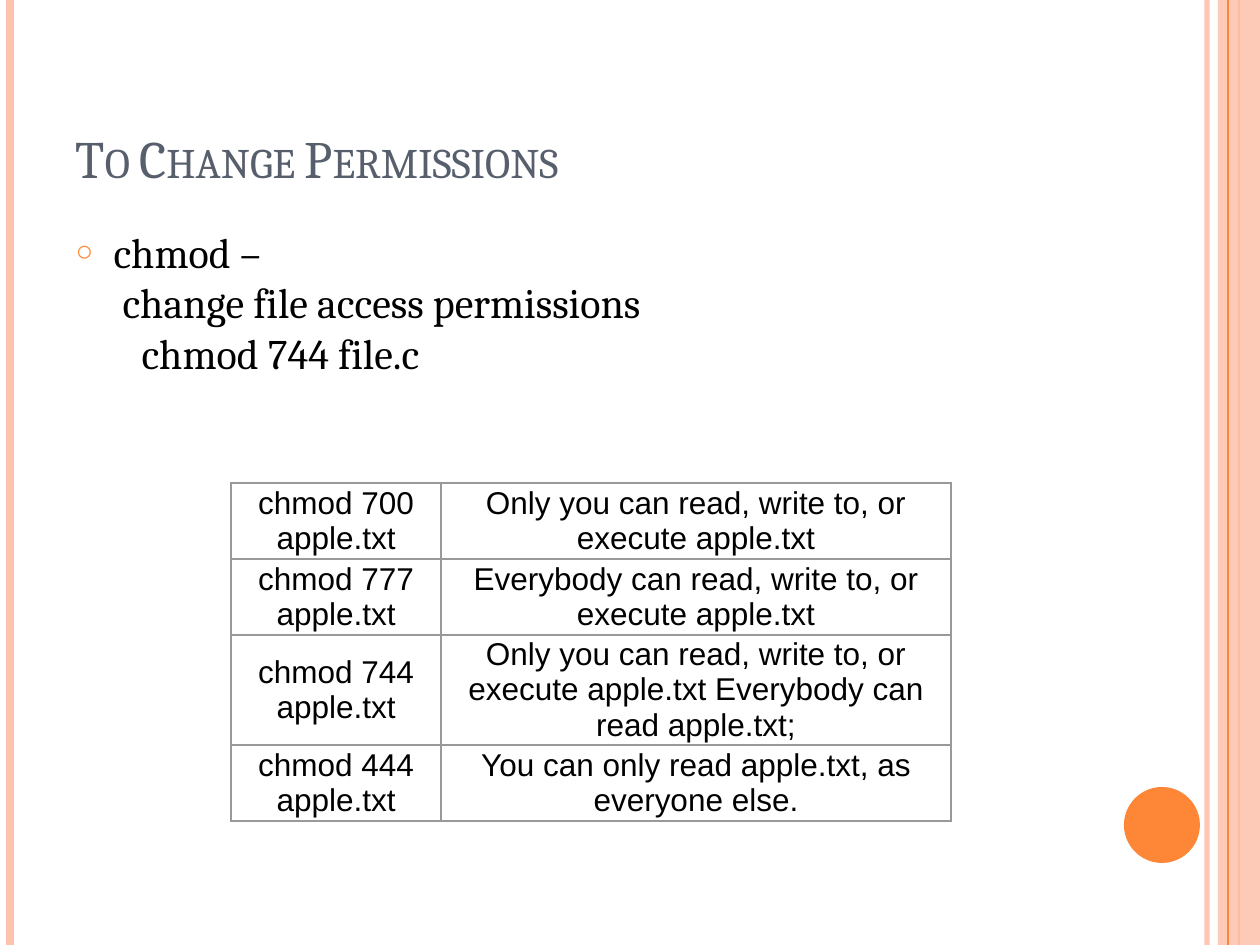
from dataclasses import dataclass

from lxml import etree
from pptx import Presentation
from pptx import util as u
from pptx.dml import color
from pptx.enum import shapes, text
from pptx.oxml import ns

EMU_PER_PIXEL = 914400 / 126
PAGE_WIDTH, PAGE_HEIGHT = 1260, 945


@dataclass(frozen=True)
class Theme:
    """Fonts, type sizes and colours of the slide."""
    heading_font: str = "Cambria"
    table_font: str = "Arial"
    title_size: int = 30
    body_size: int = 24
    table_size: int = 18
    title: str = "575F6D"
    ink: str = "000000"
    accent: str = "FE8637"
    blush: str = "FEC3AE"
    paper: str = "FFFFFF"
    grid: str = "999999"


THEME = Theme()
BODY_LINES = [("chmod –", 38, True),
              ("change file access permissions", 47, False),
              ("chmod 744 file.c", 66, False)]
PERMISSIONS = [
    ("chmod 700 apple.txt", "Only you can read, write to, or execute apple.txt"),
    ("chmod 777 apple.txt", "Everybody can read, write to, or execute apple.txt"),
    ("chmod 744 apple.txt", "Only you can read, write to, or execute apple.txt "
                            "Everybody can read apple.txt;"),
    ("chmod 444 apple.txt", "You can only read apple.txt, as everyone else."),
]


def px(pixels):
    """Turn pixels into EMU."""
    return u.Emu(round(pixels * EMU_PER_PIXEL))


def rgb(value):
    """Read a colour from its hex code."""
    return color.RGBColor.from_string(value)


def add_child(parent, tag, **attributes):
    """Append a drawing element with the given attributes."""
    return etree.SubElement(parent, ns.qn(tag), attributes)


def set_opacity(element, percent):
    """Make the solid colour inside an element partly transparent."""
    swatch = next(element.iter(ns.qn("a:srgbClr")))
    add_child(swatch, "a:alpha", val=str(percent * 1000))


def style_span(span, font, size, colour):
    """Set the font of one run."""
    span.font.name = font
    span.font.size = u.Pt(size)
    span.font.color.rgb = rgb(colour)


def place(item, box):
    """Move an object to a box of left, top, width and height."""
    item.left, item.top, item.width, item.height = map(px, box)


def add_stripe(page, x, colour, points, opacity=100):
    """Draw a vertical line over the full height of the page."""
    stripe = page.shapes.add_connector(
        shapes.MSO_CONNECTOR.STRAIGHT, px(x), 0, px(x), px(PAGE_HEIGHT))
    stripe.line.color.rgb = rgb(colour)
    stripe.line.width = u.Pt(points)
    properties = stripe._element.spPr
    if opacity < 100:
        set_opacity(properties, opacity)
    add_child(properties, "a:effectLst")


def add_block(page, kind, box, colour):
    """Draw a plain filled shape."""
    block = page.shapes.add_shape(kind, *map(px, box))
    block.shadow.inherit = False
    block.fill.solid()
    block.fill.fore_color.rgb = rgb(colour)
    block.line.fill.background()
    return block


def add_frame(page, box):
    """Draw the stripes, side panel and disc around the content."""
    left, top, width, height = box
    right = left + width
    add_stripe(page, right - 53, THEME.blush, 3, 93)
    add_stripe(page, left + 10, THEME.blush, 4.5)
    add_stripe(page, right - 21, THEME.accent, 1.5)
    panel = add_block(page, shapes.MSO_SHAPE.RECTANGLE,
                      (right - 42, top, 42, height), THEME.blush)
    set_opacity(panel._element.spPr, 87)
    add_stripe(page, right - 32, THEME.accent, 0.75)
    add_block(page, shapes.MSO_SHAPE.OVAL,
              (right - 136, top + height - 158, 76, 76), THEME.accent)


def fill_title(page, box):
    """Write the heading in small capitals."""
    title = page.shapes.title
    place(title, box)
    frame = title.text_frame
    frame.text = "To Change Permissions"
    frame.auto_size = text.MSO_AUTO_SIZE.NONE
    frame.vertical_anchor = text.MSO_ANCHOR.BOTTOM
    para = frame.paragraphs[0]
    para.alignment = text.PP_ALIGN.LEFT
    span = para.runs[0]
    style_span(span, THEME.heading_font, THEME.title_size, THEME.title)
    span.font._element.set("cap", "small")


def fill_body(page, box):
    """Write the bulleted command and its indented lines."""
    body = page.placeholders[1]
    place(body, box)
    frame = body.text_frame
    frame.text = "\n".join(line for line, _, _ in BODY_LINES)
    frame.auto_size = text.MSO_AUTO_SIZE.NONE
    for para, (_, margin, bulleted) in zip(frame.paragraphs, BODY_LINES):
        para.space_before = u.Pt(6 if bulleted else 0)
        style_span(para.runs[0], THEME.heading_font, THEME.body_size, THEME.ink)
        properties = para._p.get_or_add_pPr()
        properties.set("marL", str(px(margin)))
        properties.set("indent", str(px(-margin if bulleted else 0)))
        if bulleted:
            add_child(add_child(properties, "a:buClr"), "a:srgbClr", val=THEME.accent)
            add_child(properties, "a:buSzPct", val="70000")
            add_child(properties, "a:buChar", char="○")
        else:
            add_child(properties, "a:buNone")


def fill_cell(cell, words):
    """Write one centred table cell with thin borders."""
    cell.text = words
    cell.vertical_anchor = text.MSO_ANCHOR.MIDDLE
    cell.margin_left = cell.margin_right = px(2)
    cell.margin_top = cell.margin_bottom = px(2)
    para = cell.text_frame.paragraphs[0]
    para.alignment = text.PP_ALIGN.CENTER
    style_span(para.runs[0], THEME.table_font, THEME.table_size, THEME.ink)
    properties = cell._tc.get_or_add_tcPr()
    for side in "LRTB":
        border = add_child(properties, f"a:ln{side}", w=str(u.Pt(0.75)))
        add_child(add_child(border, "a:solidFill"), "a:srgbClr", val=THEME.grid)
    cell.fill.solid()
    cell.fill.fore_color.rgb = rgb(THEME.paper)


def add_permissions(page, box):
    """Add the table of commands and their effects."""
    left, top, width, height = box
    table = page.shapes.add_table(len(PERMISSIONS), 2, *map(px, box)).table
    table.first_row = table.horz_banding = False
    for column, share in zip(table.columns, (210, width - 210)):
        column.width = px(share)
    short = 76
    for row, words in zip(table.rows, PERMISSIONS):
        tall = words == PERMISSIONS[2]
        row.height = px(height - 3 * short if tall else short)
        for cell, entry in zip(row.cells, words):
            fill_cell(cell, entry)


def build_slide(deck):
    """Compose the permissions slide."""
    page = deck.slides.add_slide(deck.slide_layouts[1])
    add_frame(page, (0, 0, PAGE_WIDTH, PAGE_HEIGHT))
    fill_title(page, (63, 38, 1029, 157))
    fill_body(page, (63, 220, 1029, 672))
    add_permissions(page, (231, 483, 720, 338))


deck = Presentation()
deck.slide_width, deck.slide_height = px(PAGE_WIDTH), px(PAGE_HEIGHT)
build_slide(deck)
deck.save("out.pptx")
